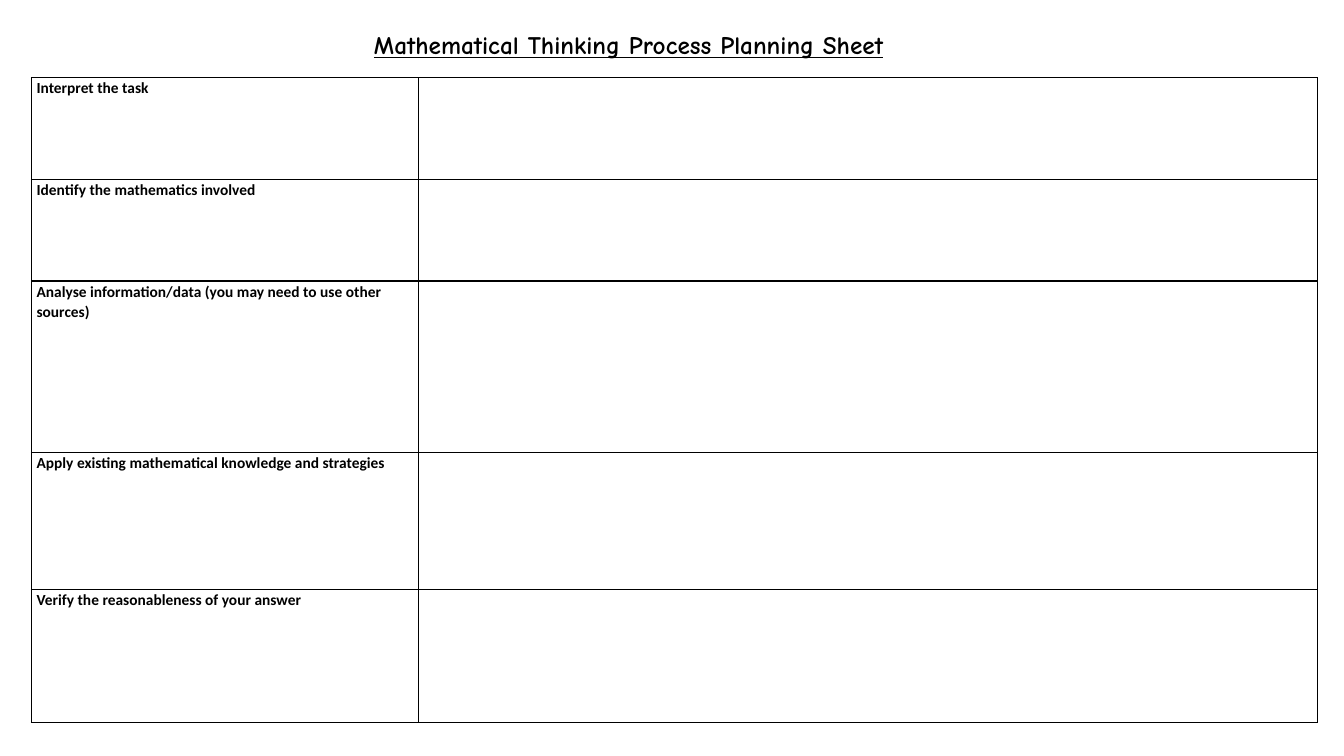
from lxml import etree
from pptx import Presentation
from pptx.dml.color import RGBColor
from pptx.enum.text import MSO_ANCHOR, PP_ALIGN
from pptx.oxml.ns import qn
from pptx.util import Pt

CENTER = PP_ALIGN.CENTER
MIDDLE = MSO_ANCHOR.MIDDLE
COLORS = {"ink": "000000", "paper": "FFFFFF"}
TITLE = {"name": "Comic Neue", "size": Pt(18), "bold": True, "underline": True}
LABEL = {"name": "Calibri", "size": Pt(11), "bold": True}
CELL = {"margin_left": Pt(3.6), "margin_right": Pt(3.6),
        "margin_top": 0, "margin_bottom": 0}
WIDTHS = [276.5, 642.2]
STEPS = [
    ("Interpret the task", 72.6),
    ("Identify the mathematics involved", 72.6),
    ("Analyse information/data (you may need to use other sources)", 122.5),
    ("Apply existing mathematical knowledge and strategies", 97.9),
    ("Verify the reasonableness of your answer", 95),
]


def apply(item, values):
    for key, value in values.items():
        setattr(item, key, value)


def write(para, text, look):
    run = para.add_run()
    run.text = text
    apply(run.font, look)
    run.font.color.rgb = RGBColor.from_string(COLORS["ink"])


def frame(cell):
    """Draw a thin line on all four sides of a cell."""
    props = cell._tc.get_or_add_tcPr()
    for side in ("a:lnL", "a:lnR", "a:lnT", "a:lnB"):
        line = etree.SubElement(props, qn(side), w=str(Pt(1)))
        fill = etree.SubElement(line, qn("a:solidFill"))
        etree.SubElement(fill, qn("a:srgbClr"), val=COLORS["ink"])


def add_title(slide, left, top, width, height):
    box = slide.shapes.add_textbox(Pt(left), Pt(top), Pt(width), Pt(height))
    apply(box.text_frame, {"word_wrap": True, "vertical_anchor": MIDDLE})
    para = box.text_frame.paragraphs[0]
    para.alignment = CENTER
    write(para, "Mathematical Thinking Process Planning Sheet", TITLE)


def add_sheet(slide, left, top):
    width, height = sum(WIDTHS), sum(size for _, size in STEPS)
    table = slide.shapes.add_table(len(STEPS), len(WIDTHS), Pt(left), Pt(top),
                                   Pt(width), Pt(height)).table
    apply(table, {"first_row": False, "horz_banding": False})
    for col, size in zip(table.columns, WIDTHS):
        col.width = Pt(size)
    for row, (text, size) in zip(table.rows, STEPS):
        row.height = Pt(size)
        for cell in row.cells:
            apply(cell, CELL)
            frame(cell)
            cell.fill.solid()
            cell.fill.fore_color.rgb = RGBColor.from_string(COLORS["paper"])
        # Step label; the answer cell stays empty
        para = row.cells[0].text_frame.paragraphs[0]
        para.line_spacing = 1.07
        write(para, text, LABEL)


def main():
    deck = Presentation()
    apply(deck, {"slide_width": Pt(960), "slide_height": Pt(540)})
    slide = deck.slides.add_slide(deck.slide_layouts[6])
    add_sheet(slide, 22.5, 55.5)
    add_title(slide, 99, 17.3, 700, 29)
    deck.save("out.pptx")


if __name__ == "__main__":
    main()
